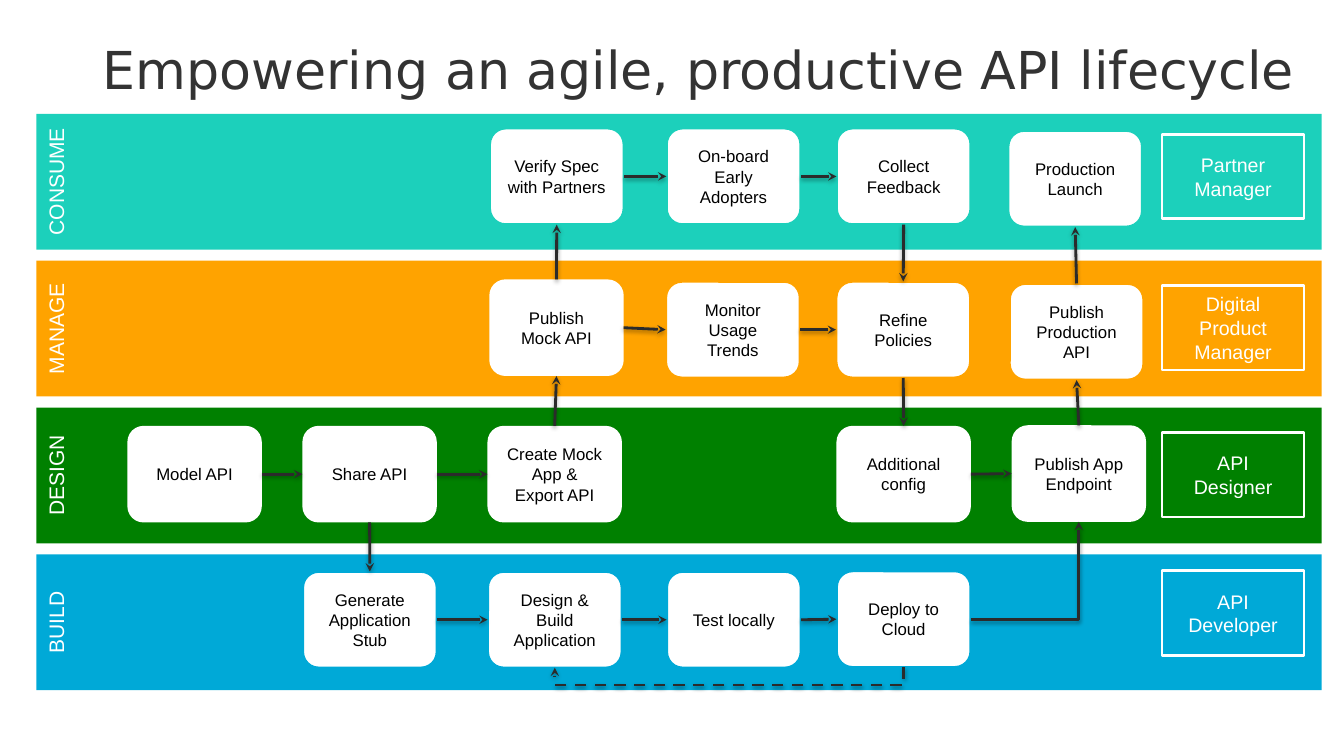
from dataclasses import dataclass
from lxml.etree import SubElement
from pptx import Presentation
from pptx.dml.color import RGBColor
from pptx.enum.dml import MSO_LINE
from pptx.enum.shapes import MSO_CONNECTOR, MSO_SHAPE
from pptx.enum.text import MSO_ANCHOR, PP_ALIGN
from pptx.oxml.ns import qn
from pptx.shapes.autoshape import Shape
from pptx.shapes.connector import Connector
from pptx.shapes.shapetree import SlideShapes
from pptx.util import Pt


@dataclass(frozen=True)
class Theme:
    teal: str = "1CD0BB"
    gold: str = "FFA300"
    green: str = "008000"
    blue: str = "00A9D7"
    white: str = "FFFFFF"
    black: str = "000000"
    ink: str = "2B2B2B"
    grey: str = "333333"
    font: str = "Arial"
    head: str = "DejaVu Sans"
    title: float = 37.3
    lane: float = 15
    role: float = 14
    step: float = 12
    rule: float = 2


@dataclass(frozen=True)
class Lane:
    name: str
    fill: str
    role: str
    top: float


@dataclass(frozen=True)
class Step:
    text: str
    row: int
    left: float
    top: float
    edge: bool = True


T = Theme()
WIDE, HIGH = 96, 69
LANES = [
    Lane("CONSUME", T.teal, "Partner Manager", 95.8),
    Lane("MANAGE", T.gold, "Digital Product Manager", 203.8),
    Lane("DESIGN", T.green, "API Designer", 308.8),
    Lane("BUILD", T.blue, "API Developer", 407.8),
]
STEPS = {
    "verify": Step("Verify Spec with Partners", 0, 349.7, 91.5),
    "board": Step("On-board Early Adopters", 0, 476, 91.5),
    "collect": Step("Collect Feedback", 0, 597.5, 91.5),
    "launch": Step("Production Launch", 0, 720, 93.2),
    "mock": Step("Publish Mock API", 1, 349.5, 199.6, False),
    "watch": Step("Monitor Usage Trends", 1, 475.5, 201),
    "refine": Step("Refine Policies", 1, 597.2, 201),
    "publish": Step("Publish Production API", 1, 721, 202.5),
    "model": Step("Model API", 2, 91, 304.2, False),
    "share": Step("Share API", 2, 216, 304.2, False),
    "export": Step("Create Mock App & Export API", 2, 348.2, 304.2, False),
    "config": Step("Additional config", 2, 597.5, 304.2, False),
    "point": Step("Publish App Endpoint", 2, 722.6, 303.8, False),
    "stub": Step("Generate Application\nStub", 3, 216.2, 408.2),
    "build": Step("Design & Build Application", 3, 348.3, 408.2),
    "test": Step("Test locally", 3, 476.2, 408.2),
    "deploy": Step("Deploy to Cloud", 3, 597.5, 407.8),
}
FLOWS = [
    ("verify", "board", "collect", "refine", "config", "point", "publish", "launch"),
    ("model", "share", "export", "mock", "verify"),
    ("mock", "watch", "refine"),
    ("share", "stub", "build", "test", "deploy"),
]


def write(shape: Shape, text: str, *, size: float, color: str, font: str = T.font,
          align: PP_ALIGN = PP_ALIGN.CENTER, anchor: MSO_ANCHOR = MSO_ANCHOR.MIDDLE,
          pad: tuple[float, float] = (9.6, 4.8), space: float = 1) -> None:
    frame = shape.text_frame
    frame.word_wrap = True
    frame.vertical_anchor = anchor
    frame.margin_left = frame.margin_right = Pt(pad[0])
    frame.margin_top = frame.margin_bottom = Pt(pad[1])
    frame.text = text
    for para in frame.paragraphs:
        para.alignment = align
        para.line_spacing = space
        para.font.size = Pt(size)
        para.font.name = font
        para.font.color.rgb = RGBColor.from_string(color)


def block(shapes: SlideShapes, kind: MSO_SHAPE, left: float, top: float,
          wide: float, high: float, fill: str, edge: str | None = None) -> Shape:
    shape = shapes.add_shape(kind, Pt(left), Pt(top), Pt(wide), Pt(high))
    shape.shadow.inherit = False
    shape.fill.solid()
    shape.fill.fore_color.rgb = RGBColor.from_string(fill)
    if edge:
        shape.line.color.rgb = RGBColor.from_string(edge)
        shape.line.width = Pt(T.rule)
    else:
        shape.line.fill.background()
    return shape


def arrow(line: Connector, dash: bool = False) -> None:
    line.line.color.rgb = RGBColor.from_string(T.ink)
    line.line.width = Pt(T.rule)
    if dash:
        line.line.dash_style = MSO_LINE.DASH
    props = line.element.spPr
    SubElement(props.find(qn("a:ln")), qn("a:tailEnd"), type="stealth")
    glow = SubElement(SubElement(props, qn("a:effectLst")), qn("a:outerShdw"),
                      blurRad=str(Pt(3.1)), dist=str(Pt(1.6)), dir="5400000", rotWithShape="0")
    tint = SubElement(glow, qn("a:srgbClr"), val=T.black)
    SubElement(tint, qn("a:alpha"), val="36000")


def link(shapes: SlideShapes, boxes: dict[str, Shape], start: str, end: str) -> None:
    first, last = STEPS[start].row, STEPS[end].row
    ports = (3, 1) if first == last else (2, 0) if first < last else (0, 2)
    line = shapes.add_connector(MSO_CONNECTOR.STRAIGHT, 0, 0, 0, 0)
    line.begin_connect(boxes[start], ports[0])
    line.end_connect(boxes[end], ports[1])
    arrow(line)


def bend(shapes: SlideShapes) -> None:
    start, end = STEPS["deploy"], STEPS["point"]
    line = shapes.add_connector(MSO_CONNECTOR.ELBOW, Pt(start.left + WIDE), Pt(start.top + HIGH / 2),
                                Pt(end.left + WIDE / 2), Pt(end.top + HIGH))
    line.element.spPr.find(qn("a:prstGeom")).set("prst", "bentConnector2")
    arrow(line)


def loop(shapes: SlideShapes) -> None:
    start, end = STEPS["deploy"], STEPS["build"]
    span, thin, drop = start.left - end.left, 0.3, 12.2
    left = (start.left + end.left + WIDE - thin) / 2
    top = start.top + HIGH - span / 2
    line = shapes.add_connector(MSO_CONNECTOR.ELBOW, Pt(left), Pt(top), Pt(left + thin), Pt(top + span))
    props = line.element.spPr
    props.find(qn("a:xfrm")).set("rot", "5400000")
    guides = props.find(qn("a:prstGeom")).find(qn("a:avLst"))
    SubElement(guides, qn("a:gd"), name="adj1", fmla=f"val {round(drop / thin * 100000)}")
    arrow(line, dash=True)


def main() -> None:
    deck = Presentation()
    deck.slide_width, deck.slide_height = Pt(960), Pt(540)
    shapes = deck.slides.add_slide(deck.slide_layouts[6]).shapes
    long, deep = 918, 97
    for row, lane in enumerate(LANES):
        mid = 129.8 + 104.9 * row
        band = block(shapes, MSO_SHAPE.RECTANGLE, 485 - deep / 2, mid - long / 2, deep, long, lane.fill)
        band.rotation = 270
        write(band, lane.name, size=T.lane, color=T.white, anchor=MSO_ANCHOR.TOP)
    boxes = {}
    for key, step in STEPS.items():
        edge = LANES[step.row].fill if step.edge else None
        boxes[key] = block(shapes, MSO_SHAPE.FLOWCHART_ALTERNATE_PROCESS, step.left, step.top,
                           WIDE, HIGH, T.white, edge)
        write(boxes[key], step.text, size=T.step, color=T.black)
    for flow in FLOWS:
        for start, end in zip(flow, flow[1:]):
            link(shapes, boxes, start, end)
    bend(shapes)
    loop(shapes)
    for lane in LANES:
        role = block(shapes, MSO_SHAPE.RECTANGLE, 830, lane.top, 101.5, 60.5, lane.fill, T.white)
        write(role, lane.role, size=T.role, color=T.white)
    title = shapes.add_textbox(Pt(66.4), Pt(28), Pt(875.6), Pt(75.6))
    write(title, "Empowering an agile, productive API lifecycle", size=T.title, color=T.grey,
          font=T.head, align=PP_ALIGN.LEFT, anchor=MSO_ANCHOR.TOP, pad=(7.2, 3.6), space=0.9)
    deck.save("out.pptx")


if __name__ == "__main__":
    main()
